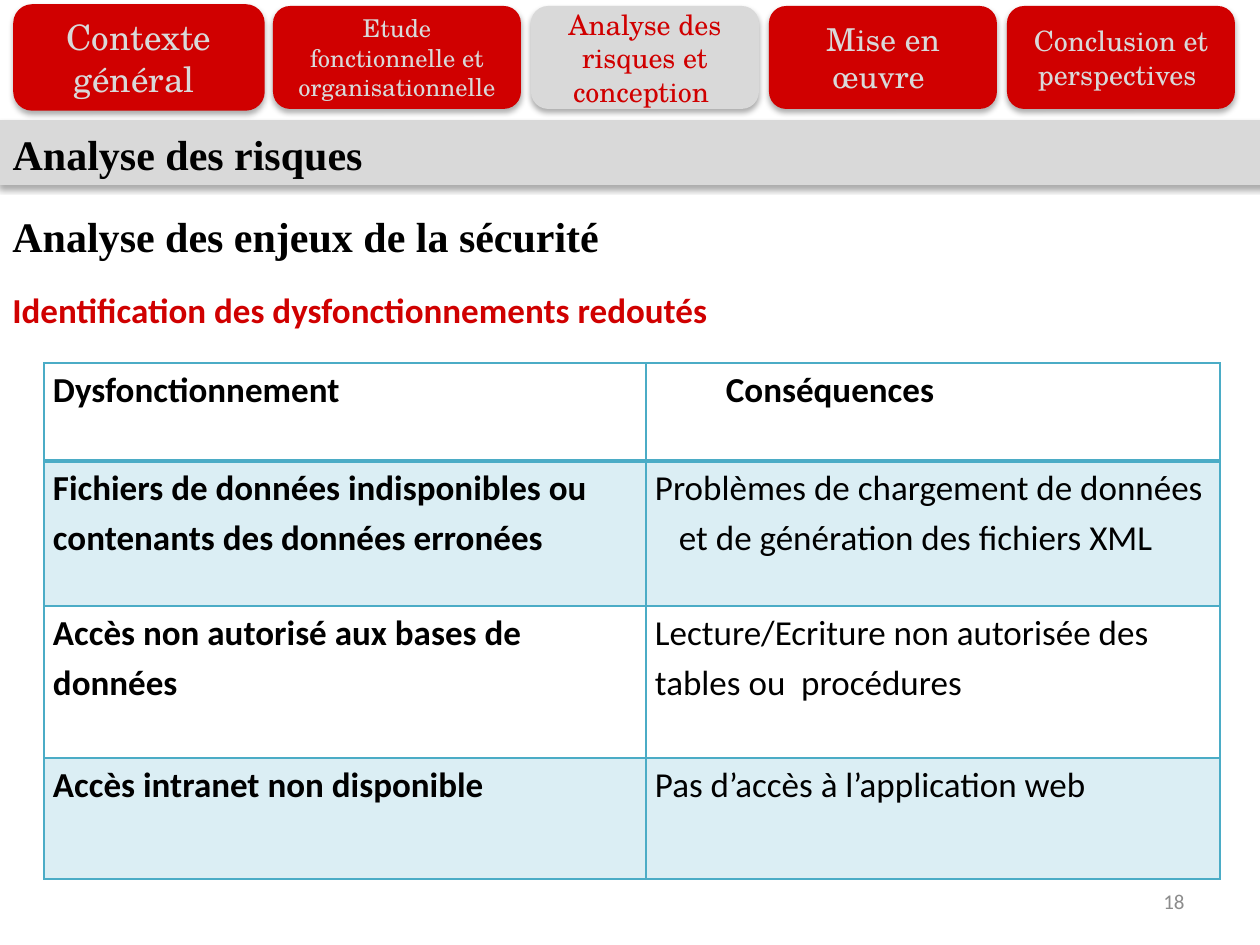
from dataclasses import dataclass

from lxml import etree
from pptx import Presentation
from pptx import util as u
from pptx.dml.color import RGBColor
from pptx.enum import shapes, text
from pptx.oxml import parse_xml
from pptx.oxml.ns import nsdecls, qn

PX = 914400 / 126  # EMU in one px


@dataclass(frozen=True)
class Theme:
    red: str = "D00000"
    grey: str = "D9D9D9"
    black: str = "000000"
    number_grey: str = "8C8C8C"
    table_line: str = "4BACC6"
    table_band: str = "DBEEF4"
    tab_font: str = "TeX Gyre Schola"
    heading_font: str = "Times New Roman"
    body_font: str = "Calibri"
    heading_size: int = 24
    body_size: int = 20
    number_size: int = 12


theme = Theme()


def write(frame, lines, font, size, color, bold=False, align=text.PP_ALIGN.LEFT):
    """Fill a text frame with equally formatted paragraphs."""
    frame.word_wrap = True
    frame.text = "\n".join(lines)
    for para in frame.paragraphs:
        para.alignment = align
        para.font.name = font
        para.font.size = u.Pt(size)
        para.font.bold = bold
        para.font.color.rgb = RGBColor.from_string(color)


def add_panel(page, kind, area, color, outlined):
    """Add a flat coloured shape with a soft shadow below it."""
    panel = page.shapes.add_shape(kind, *(round(v * PX) for v in area))
    panel.fill.solid()
    panel.fill.fore_color.rgb = RGBColor.from_string(color)
    if outlined:
        panel.line.color.rgb = RGBColor.from_string(color)
        panel.line.width = u.Pt(2)
    else:
        panel.line.fill.background()
    panel.shadow.inherit = False
    effects = panel._element.spPr.find(qn("a:effectLst"))
    effects.append(parse_xml(
        f'<a:outerShdw {nsdecls("a")} blurRad="{u.Pt(3.5)}" dist="{u.Pt(2.2)}" '
        'dir="5400000" rotWithShape="0"><a:srgbClr val="000000">'
        '<a:alpha val="32000"/></a:srgbClr></a:outerShdw>'))
    return panel


deck = Presentation()
deck.slide_width, deck.slide_height = round(1260 * PX), round(945 * PX)
page = deck.slides.add_slide(deck.slide_layouts[5])

# Navigation tabs: label, width, type size
tabs = [
    ("Contexte général ", 248, 20),
    ("Etude fonctionnelle et organisationnelle", 248, 14),
    ("Analyse des risques et conception ", 228, 16),
    ("Mise en œuvre ", 228, 18),
    ("Conclusion et perspectives ", 228, 16),
]
CURRENT_TAB, TAB_GAP = 2, 10
left = 15
for index, (label, width, size) in enumerate(tabs):
    fill, ink = theme.red, theme.grey
    if index == CURRENT_TAB:
        fill, ink = ink, fill
    tab = add_panel(page, shapes.MSO_SHAPE.ROUNDED_RECTANGLE,
                    (left, 6, width, 103), fill, outlined=index == 0)
    tab.text_frame.vertical_anchor = text.MSO_ANCHOR.MIDDLE
    write(tab.text_frame, [label], theme.tab_font, size, ink,
          align=text.PP_ALIGN.CENTER)
    left += width + TAB_GAP

# Title on its grey band
add_panel(page, shapes.MSO_SHAPE.RECTANGLE, (0, 122, 1260, 61), theme.grey, True)
title = page.shapes.title
title.left, title.top, title.width, title.height = (
    round(v * PX) for v in (0, 122, 856, 64))
title._element.getparent().append(title._element)  # in front of the band
title.text_frame.auto_size = text.MSO_AUTO_SIZE.NONE
title.text_frame.vertical_anchor = text.MSO_ANCHOR.TOP
write(title.text_frame, ["Analyse des risques"], theme.heading_font,
      theme.heading_size, theme.black, bold=True)

# Subheadings and page number
boxes = [
    ("Analyse des enjeux de la sécurité", (0, 204, 635, 64), theme.heading_font,
     theme.heading_size, theme.black, True, text.PP_ALIGN.LEFT),
    ("Identification des dysfonctionnements redoutés", (0, 282, 1017, 55),
     theme.body_font, theme.body_size, theme.red, True, text.PP_ALIGN.LEFT),
    ("18", (903, 876, 294, 50), theme.body_font, theme.number_size,
     theme.number_grey, False, text.PP_ALIGN.RIGHT),
]
for content, area, *style in boxes:
    box = page.shapes.add_textbox(*(round(v * PX) for v in area))
    box.text_frame.vertical_anchor = text.MSO_ANCHOR.MIDDLE
    write(box.text_frame, [content], *style)

# Table of malfunctions and consequences
rows = [
    (98, ["Dysfonctionnement"], ["Conséquences"]),
    (145, ["Fichiers de données indisponibles ou", "contenants des données erronées"],
     ["Problèmes de chargement de données et de génération des fichiers XML"]),
    (152, ["Accès non autorisé aux bases de données"],
     ["Lecture/Ecriture non autorisée des tables ou  procédures"]),
    (121, ["Accès intranet non disponible"], ["Pas d’accès à l’application web"]),
]
column_widths = (602, 574)
# (row, column): left margin and first-line indent
indents = {(0, 1): (71, 0), (1, 1): (24, -24)}

frame = page.shapes.add_table(
    len(rows), len(column_widths), round(44 * PX), round(363 * PX),
    round(sum(column_widths) * PX), round(sum(row[0] for row in rows) * PX))
table = frame.table
table.first_row = table.horz_banding = False
for column, width in zip(table.columns, column_widths):
    column.width = round(width * PX)

for r, (height, *contents) in enumerate(rows):
    table.rows[r].height = round(height * PX)
    for c, lines in enumerate(contents):
        cell = table.cell(r, c)
        cell.margin_left = cell.margin_right = round(9 * PX)
        cell.margin_top = cell.margin_bottom = 0
        write(cell.text_frame, lines, theme.body_font, theme.body_size,
              theme.black, bold=r == 0 or c == 0)
        margin, indent = indents.get((r, c), (0, 0))
        for para in cell.text_frame.paragraphs:
            para.line_spacing = 1.15
            properties = para._p.get_or_add_pPr()
            properties.set("marL", str(round(margin * PX)))
            properties.set("indent", str(round(indent * PX)))

        # Borders, heavier below the header
        cell_properties = cell._tc.get_or_add_tcPr()
        for side in "LRTB":
            heavy = (r, side) in ((0, "B"), (1, "T"))
            line = etree.SubElement(cell_properties, qn(f"a:ln{side}"),
                                    w=str(u.Pt(2 if heavy else 1)))
            ink = etree.SubElement(line, qn("a:solidFill"))
            etree.SubElement(ink, qn("a:srgbClr"), val=theme.table_line)

        if r % 2:
            cell.fill.solid()
            cell.fill.fore_color.rgb = RGBColor.from_string(theme.table_band)
        else:
            cell.fill.background()

deck.save("out.pptx")
